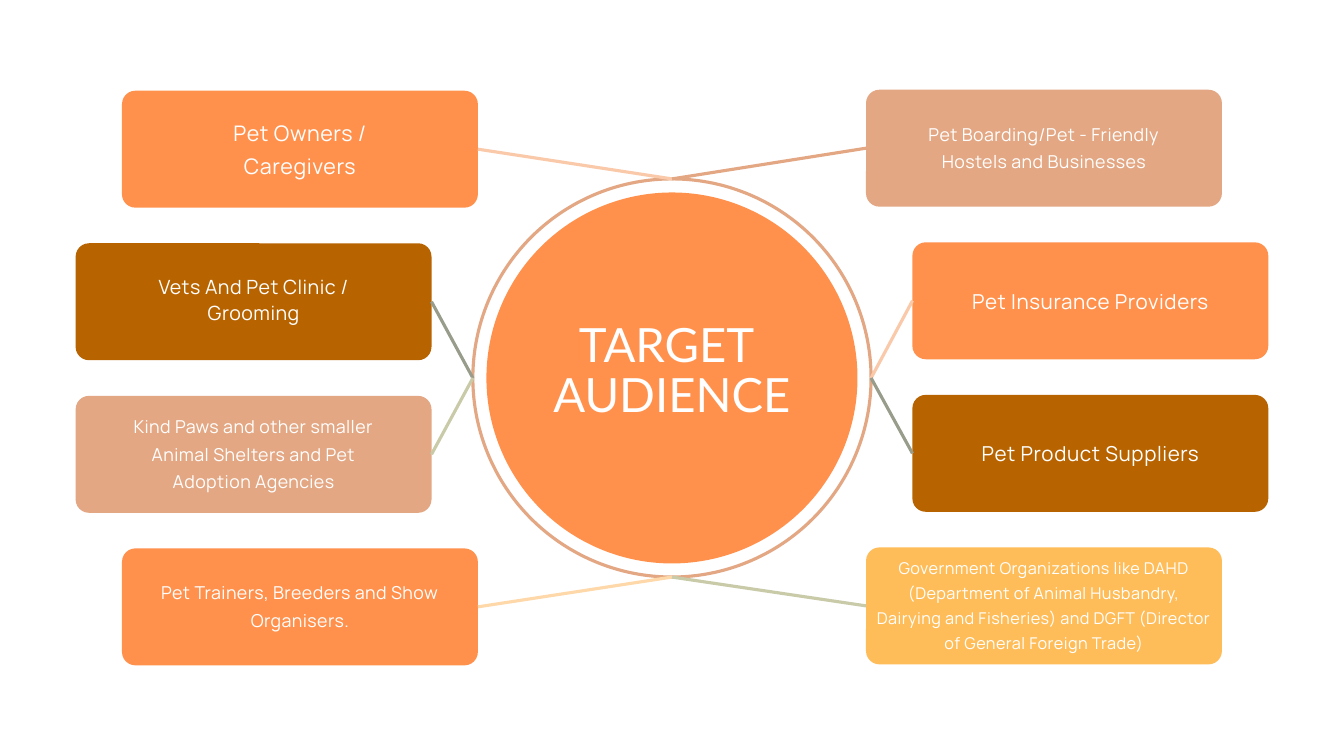
from lxml.etree import SubElement
from pptx import Presentation
from pptx.dml.color import RGBColor
from pptx.enum.shapes import MSO_CONNECTOR as Connector, MSO_SHAPE as Shape
from pptx.enum.text import MSO_ANCHOR as Anchor, MSO_AUTO_SIZE as AutoSize, PP_ALIGN as Align
from pptx.oxml.ns import qn
from pptx.util import Inches, Pt

WHITE = RGBColor(0xFF, 0xFF, 0xFF)
ORANGE = RGBColor(0xFF, 0x91, 0x4D)
TAN = RGBColor(0xE3, 0xA7, 0x83)
BROWN = RGBColor(0xB7, 0x63, 0x00)
AMBER = RGBColor(0xFF, 0xBD, 0x59)
PEACH = RGBColor(0xFA, 0xC9, 0xA9)
CREAM = RGBColor(0xFE, 0xD8, 0xA9)
SAGE = RGBColor(0x98, 0x9C, 0x8B)
LIGHT_SAGE = RGBColor(0xC9, 0xCA, 0xA8)

# Grid: 100 columns by 100 rows
WIDTH, HEIGHT = Inches(13.33), Inches(7.5)
CARD_W, CARD_H, ROW_PITCH = 26.48, 15.47, 20.18
CARD_LIFT = 0.9  # label sits slightly above the card's middle
RING_D, DISC_D = 29.63, 27.61  # diameters in columns
OUTER_X, INNER_X = 5.63, 9.08  # card indents from the slide's edge
ROW_INDENTS = (INNER_X, OUTER_X, OUTER_X, INNER_X)

# Label formats: size, line spacing, letter spacing (points)
HEADLINE = (33.7, 35.7, 0)
LARGE = (15.3, 23.6, 0.4)
MEDIUM = (14.7, 22.6, 0.4)
TIGHT = (14, 18.5, 0.3)
SMALL = (12.7, 19.5, 0.3)
TINY = (11.6, 17.8, 0.3)

# Per card: text, format, text width in columns, fill, connector colour
LEFT_AUDIENCES = (
    ("Pet Owners /\nCaregivers", LARGE, 19.43, ORANGE, PEACH),
    ("Vets And Pet Clinic /\nGrooming", TIGHT, 22.96, BROWN, SAGE),
    ("Kind Paws and other smaller Animal Shelters and Pet Adoption Agencies",
     SMALL, 21.61, TAN, LIGHT_SAGE),
    ("Pet Trainers, Breeders and Show Organisers.", SMALL, 21.68, ORANGE, CREAM),
)
RIGHT_AUDIENCES = (
    ("Pet Boarding/Pet - Friendly Hostels and Businesses", SMALL, 21.68, TAN, TAN),
    ("Pet Insurance Providers", MEDIUM, 21.61, ORANGE, PEACH),
    ("Pet Product Suppliers", MEDIUM, 21.61, BROWN, SAGE),
    ("Government Organizations like DAHD (Department of Animal Husbandry, Dairying "
     "and Fisheries) and DGFT (Director of General Foreign Trade)",
     TINY, 25.58, AMBER, LIGHT_SAGE),
)


def col(share):
    return round(WIDTH * share / 100)


def row(share):
    return round(HEIGHT * share / 100)


class AudienceMap:
    """Holds the slide and draws each kind of element on it."""

    line_width = Pt(2.25)
    corner = 0.115

    def __init__(self, slide):
        self.slide = slide

    def label(self, frame, text, style, font, frame_format):
        size, leading, tracking = style
        defaults = dict(word_wrap=True, auto_size=AutoSize.NONE, margin_left=0,
                        margin_right=0, margin_top=0, margin_bottom=0)
        for name, value in {**defaults, **frame_format}.items():
            setattr(frame, name, value)
        frame.text = text
        for paragraph in frame.paragraphs:
            paragraph.alignment = Align.CENTER
            paragraph.line_spacing = Pt(leading)
            for run in paragraph.runs:
                for name, value in dict(name=font, size=Pt(size), bold=False).items():
                    setattr(run.font, name, value)
                run.font.color.rgb = WHITE
                run._r.get_or_add_rPr().set("spc", str(round(tracking * 100)))

    def circle(self, diameter, fill=None, line=None):
        side = col(diameter)
        circle = self.slide.shapes.add_shape(
            Shape.OVAL, (WIDTH - side) // 2, (HEIGHT - side) // 2, side, side)
        circle.shadow.inherit = False
        self.paint(circle.fill, fill)
        self.paint(circle.line.fill, line)
        if line is not None:
            circle.line.width = self.line_width
        return circle

    def paint(self, fill, colour):
        if colour is None:
            fill.background()
        else:
            fill.solid()
            fill.fore_color.rgb = colour

    def title(self, text, behind):
        title = self.slide.shapes.title
        place = dict(left=behind.left, top=row(42.53), width=behind.width, height=row(13.47))
        for name, value in place.items():
            setattr(title, name, value)
        self.label(title.text_frame, text, HEADLINE, "Lato",
                   dict(vertical_anchor=Anchor.TOP))
        behind.element.addnext(title.element)

    def card(self, x, y, text, style, text_width, fill):
        card = self.slide.shapes.add_shape(
            Shape.ROUNDED_RECTANGLE, col(x), row(y), col(CARD_W), row(CARD_H))
        card.adjustments[0] = self.corner
        card.shadow.inherit = False
        self.paint(card.fill, fill)
        self.paint(card.line.fill, None)
        inset = col((CARD_W - text_width) / 2)
        self.label(card.text_frame, text, style, "Manrope",
                   dict(margin_left=inset, margin_right=inset,
                        margin_bottom=row(CARD_LIFT), vertical_anchor=Anchor.MIDDLE))
        return card

    def link(self, card, side, point, colour):
        link = self.slide.shapes.add_connector(Connector.STRAIGHT, *point, *point)
        link.begin_connect(card, side)
        link.line.color.rgb = colour
        link.line.width = self.line_width
        SubElement(link.element.spPr, qn("a:effectLst"))


def main():
    deck = Presentation()
    deck.slide_width, deck.slide_height = WIDTH, HEIGHT
    audience_map = AudienceMap(deck.slides.add_slide(deck.slide_layouts[5]))

    # Hub
    ring = audience_map.circle(RING_D, line=TAN)
    disc = audience_map.circle(DISC_D, fill=ORANGE)
    audience_map.title("TARGET \nAUDIENCE", disc)

    # Cards on both sides, each tied to the nearest point of the ring
    middle_x, middle_y = WIDTH // 2, HEIGHT // 2
    ring_top = (middle_x, ring.top)
    ring_bottom = (middle_x, ring.top + ring.height)
    ring_left = (ring.left, middle_y)
    ring_right = (ring.left + ring.width, middle_y)
    sides = (
        (LEFT_AUDIENCES, 12, 3, ring_left, lambda indent: indent),
        (RIGHT_AUDIENCES, 11.87, 1, ring_right, lambda indent: 100 - indent - CARD_W),
    )
    for audiences, first_row, card_side, ring_side, place in sides:
        ring_points = (ring_top, ring_side, ring_side, ring_bottom)
        for index, (text, style, text_width, fill, link_colour) in enumerate(audiences):
            card = audience_map.card(place(ROW_INDENTS[index]), first_row + index * ROW_PITCH,
                                     text, style, text_width, fill)
            audience_map.link(card, card_side, ring_points[index], link_colour)

    deck.save("out.pptx")


if __name__ == "__main__":
    main()
